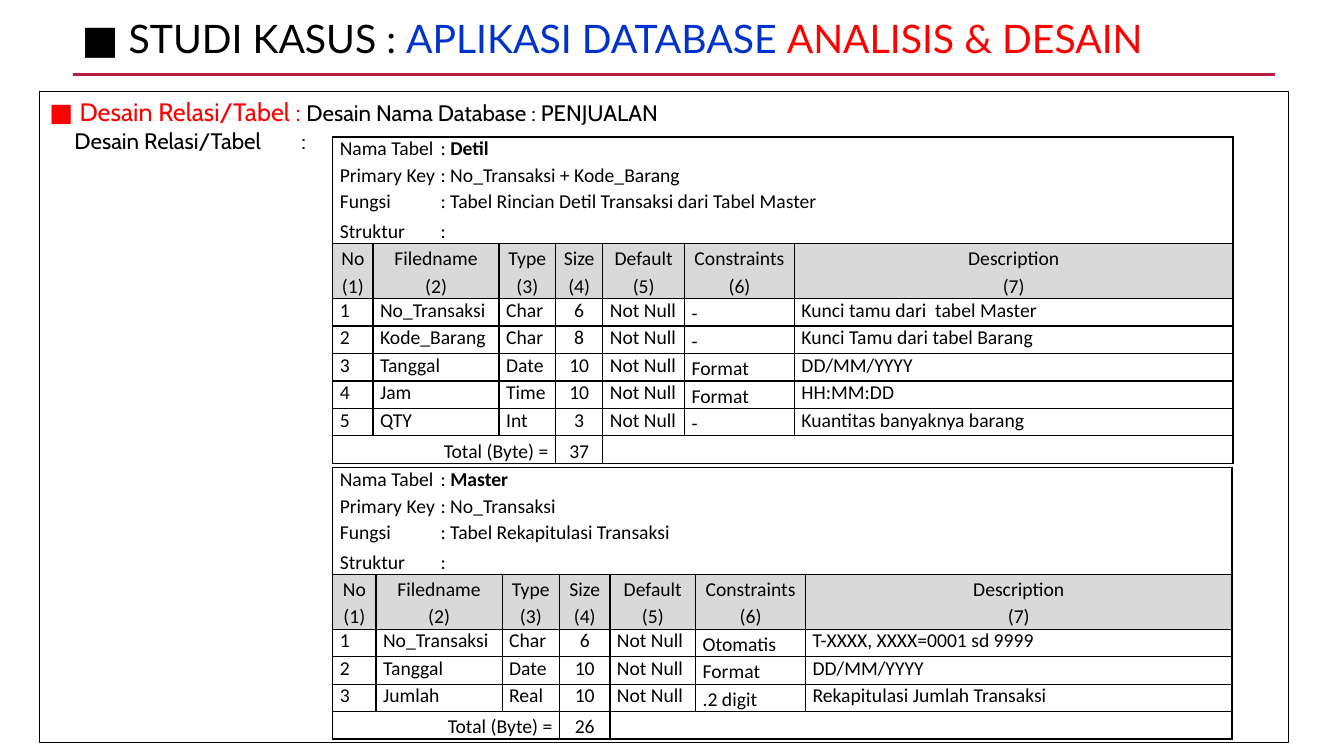
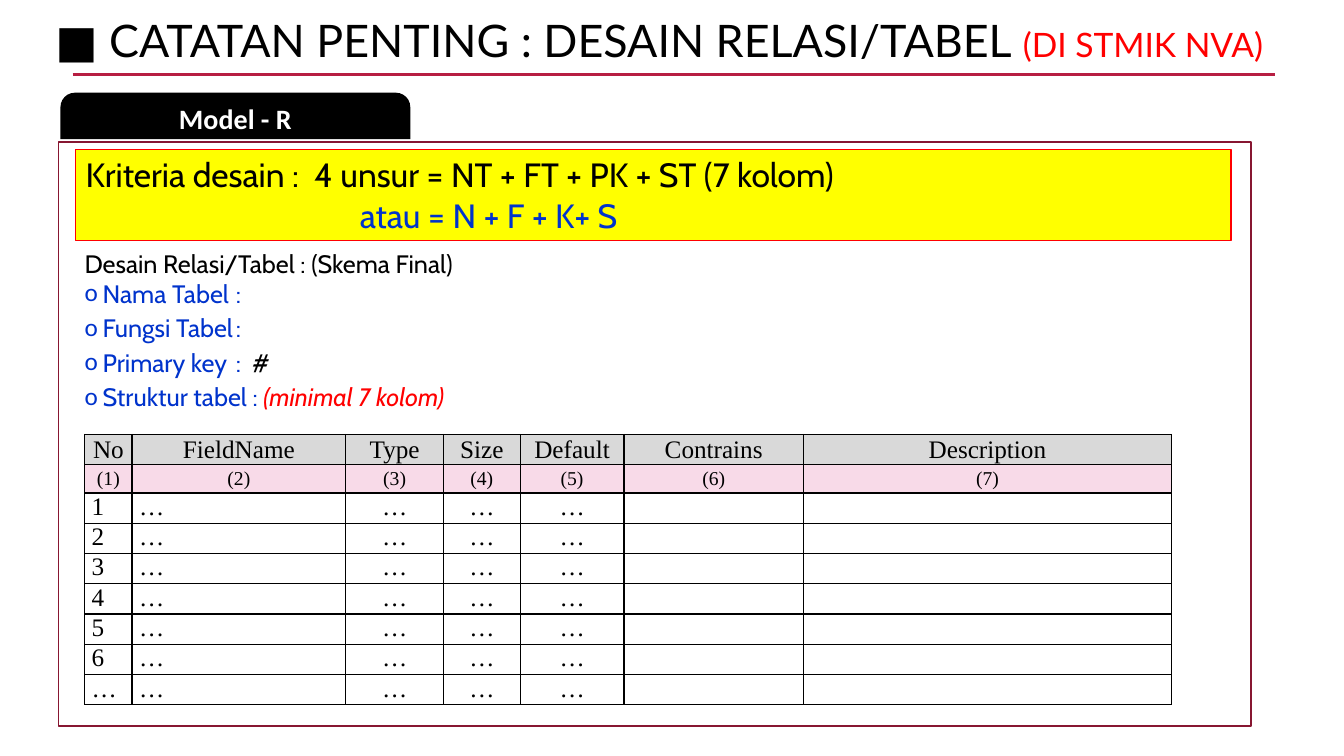
import dataclasses
import typing

import lxml.etree
import pptx
import pptx.dml.color
import pptx.enum.shapes
import pptx.enum.text
import pptx.oxml.ns
import pptx.util

PX = 9144
SHAPE = pptx.enum.shapes.MSO_SHAPE
ANCHOR = pptx.enum.text.MSO_ANCHOR
LEFT = pptx.enum.text.PP_ALIGN.LEFT
CENTER = pptx.enum.text.PP_ALIGN.CENTER
RIGHT = pptx.enum.text.PP_ALIGN.RIGHT


@dataclasses.dataclass(frozen=True)
class Font:
    name: str
    size: int
    color: str = "000000"
    bold: bool = False
    italic: bool = False

    def but(self, **changes):
        return dataclasses.replace(self, **changes)


@dataclasses.dataclass(frozen=True)
class Theme:
    black: str = "000000"
    white: str = "FFFFFF"
    red: str = "FF0000"
    blue: str = "0033CC"
    yellow: str = "FFFF00"
    rule: str = "B71E42"
    frame: str = "871631"
    header: str = "D9D9D9"
    numbers: str = "F8DAE8"
    title: Font = Font("Lato", 28)
    big_title: Font = Font("Lato", 32)
    title_note: Font = Font("Lato", 24, "FF0000")
    lead: Font = Font("Cabin", 24)
    body: Font = Font("Cabin", 18)
    small: Font = Font("Cabin", 16)
    tab: Font = Font("Calibri", 20, "FFFFFF", True)
    field: Font = Font("Calibri", 14)
    grid: Font = Font("Times New Roman", 18)
    grid_small: Font = Font("Times New Roman", 14)


@dataclasses.dataclass
class Para:
    runs: list
    align: typing.Any = LEFT
    line: float = 1.0
    space: tuple = (0, 0)
    tabs: tuple = ()
    bullet: str = ""
    indent: int = 0


def rgb(value):
    return pptx.dml.color.RGBColor.from_string(value)


def px(value):
    return pptx.util.Emu(value * PX)


def add_xml(parent, tag, **attributes):
    return lxml.etree.SubElement(parent, pptx.oxml.ns.qn(tag), attributes)


class Deck:
    def __init__(self, theme):
        self.theme = theme
        self.prs = pptx.Presentation()
        self.prs.slide_width = px(1333)
        self.prs.slide_height = px(750)
        self.slide = None

    def new_slide(self, title_box, runs):
        self.slide = self.prs.slides.add_slide(self.prs.slide_layouts[5])
        sp = self.slide.shapes.title
        sp.left, sp.top, sp.width, sp.height = map(px, title_box)
        sp.text_frame.auto_size = pptx.enum.text.MSO_AUTO_SIZE.NONE
        self.fill_frame(sp.text_frame, [Para(runs, line=0.9)])
        self.line(72, 74, 1265, 74, self.theme.rule, 2.5)

    def line(self, x1, y1, x2, y2, color, width):
        sp = self.slide.shapes.add_connector(
            pptx.enum.shapes.MSO_CONNECTOR.STRAIGHT, px(x1), px(y1), px(x2), px(y2))
        sp.line.color.rgb = rgb(color)
        sp.line.width = pptx.util.Pt(width)
        add_xml(sp._element.spPr, "a:effectLst")

    def shape(self, box, paras=(), kind=SHAPE.RECTANGLE, fill=None, line=None,
              width=0.75, anchor=ANCHOR.TOP):
        sp = self.slide.shapes.add_shape(kind, *map(px, box))
        sp.shadow.inherit = False
        if fill:
            sp.fill.solid()
            sp.fill.fore_color.rgb = rgb(fill)
        else:
            sp.fill.background()
        if line:
            sp.line.color.rgb = rgb(line)
            sp.line.width = pptx.util.Pt(width)
        else:
            sp.line.fill.background()
        self.fill_frame(sp.text_frame, paras, anchor)
        return sp

    def text(self, box, paras):
        sp = self.slide.shapes.add_textbox(*map(px, box))
        self.fill_frame(sp.text_frame, paras)

    def fill_frame(self, tf, paras, anchor=ANCHOR.TOP):
        tf.word_wrap = True
        tf.vertical_anchor = anchor
        self.paragraphs(tf, paras)

    def paragraphs(self, tf, paras):
        for i, para in enumerate(paras):
            p = tf.add_paragraph() if i else tf.paragraphs[0]
            p.alignment = para.align
            p.line_spacing = para.line
            p.space_before, p.space_after = map(pptx.util.Pt, para.space)
            props = p._p.get_or_add_pPr()
            if para.bullet:
                props.set("marL", str(px(para.indent)))
                props.set("indent", str(px(-para.indent)))
                add_xml(props, "a:buFont", typeface="Calibri")
                add_xml(props, "a:buChar", char=para.bullet)
            if para.tabs:
                stops = add_xml(props, "a:tabLst")
                for stop in para.tabs:
                    add_xml(stops, "a:tab", pos=str(px(stop)), algn="l")
            for text, font in para.runs:
                if text:
                    r = p.add_run()
                    r.text = text
                    r.font.name = font.name
                    r.font.size = pptx.util.Pt(font.size)
                    r.font.color.rgb = rgb(font.color)
                    r.font.bold = font.bold
                    r.font.italic = font.italic
                else:
                    add_xml(p._p, "a:endParaRPr", sz=str(font.size * 100))

    def table(self, left, top, widths, heights):
        table = self.slide.shapes.add_table(
            len(heights), len(widths), px(left), px(top), px(sum(widths)), px(sum(heights))).table
        table.first_row = table.horz_banding = False
        for column, width in zip(table.columns, widths):
            column.width = px(width)
        for row, height in zip(table.rows, heights):
            row.height = px(height)
        return table

    def cell(self, cell, paras, fill=None, anchor=ANCHOR.TOP):
        cell.margin_left = cell.margin_right = px(7)
        cell.margin_top = cell.margin_bottom = 0
        cell.vertical_anchor = anchor
        props = cell._tc.get_or_add_tcPr()
        for side in ("a:lnL", "a:lnR", "a:lnT", "a:lnB"):
            border = add_xml(props, side, w="12700")
            add_xml(add_xml(border, "a:solidFill"), "a:srgbClr", val=self.theme.black)
        if fill:
            cell.fill.solid()
            cell.fill.fore_color.rgb = rgb(fill)
        else:
            cell.fill.background()
        self.paragraphs(cell.text_frame, paras)

    def field_table(self, top, widths, name, key, purpose, fields, total):
        font = self.theme.field
        last = len(fields) + 2
        table = self.table(330, top, widths, [105, 54] + [27] * (len(fields) + 1))
        intro = [
            Para([("Nama Tabel\t: ", font), (name, font.but(bold=True))], space=(1, 1)),
            Para([("Primary Key\t: " + key, font)], space=(1, 1)),
            Para([("Fungsi\t: " + purpose, font)], space=(1, 1)),
            Para([("Struktur\t:", font)], space=(3, 3)),
        ]
        blank = [Para([("", font)])]
        table.cell(0, 0).merge(table.cell(0, 6))
        table.cell(last, 0).merge(table.cell(last, 2))
        table.cell(last, 4).merge(table.cell(last, 6))
        heads = ("No", "Filedname", "Type", "Size", "Default", "Constraints", "Description")
        for c, head in enumerate(heads):
            self.cell(table.cell(0, c), blank if c else intro)
            self.cell(table.cell(1, c), [
                Para([(text, font)], CENTER, 1.15) for text in (head, f"({c + 1})")],
                self.theme.header)
            ends = {0: ("Total (Byte) =", RIGHT), 3: (str(total), CENTER)}
            text, align = ends.get(c, ("", LEFT))
            self.cell(table.cell(last, c), [Para([(text, font)], align, 1.15 if text else 1.0)])
        for r, (field, kind, size, constraint, description) in enumerate(fields, 1):
            values = (str(r), field, kind, str(size), "Not Null", constraint, description)
            for c, value in enumerate(values):
                self.cell(table.cell(r + 1, c), [
                    Para([(value, font)], CENTER if c == 3 else LEFT, 1.15 if c == 5 else 1.0)])

    def blank_table(self):
        theme = self.theme
        table = self.table(84, 431, [47, 212, 97, 76, 103, 178, 365], [30, 28] + [30] * 7)
        heads = ("No", "FieldName", "Type", "Size", "Default", "Contrains", "Description")
        for c, head in enumerate(heads):
            self.cell(table.cell(0, c), [Para([(head, theme.grid)], CENTER)],
                      theme.header, ANCHOR.MIDDLE)
            self.cell(table.cell(1, c), [Para([(f"({c + 1})", theme.grid_small)], CENTER)],
                      theme.numbers, ANCHOR.MIDDLE)
            for r, number in enumerate("123456…", 2):
                text = number if c == 0 else "…" if c < 5 else ""
                self.cell(table.cell(r, c), [
                    Para([(text, theme.grid)], LEFT if c < 2 else CENTER)])


def case_study(deck):
    t = deck.theme
    deck.new_slide((71, 14, 1191, 54), [
        ("■ STUDI KASUS : ", t.title),
        ("APLIKASI DATABASE ", t.title.but(color=t.blue)),
        ("ANALISIS & DESAIN", t.title.but(color=t.red))])
    deck.shape((39, 91, 1239, 646), [
        Para([("■ ", t.body.but(name="Lato", color=t.red)),
              ("Desain Relasi/Tabel : ", t.body.but(color=t.red)),
              ("Desain Nama Database : PENJUALAN", t.small)]),
        Para([("\tDesain Relasi/Tabel\t:", t.small)], tabs=(25, 250))], line=t.black)
    deck.field_table(
        464, [43, 125, 57, 50, 85, 109, 423], "Master", "No_Transaksi",
        "Tabel Rekapitulasi Transaksi", [
            ("No_Transaksi", "Char", 6, "Otomatis", "T-XXXX, XXXX=0001 sd 9999"),
            ("Tanggal", "Date", 10, "Format", "DD/MM/YYYY"),
            ("Jumlah", "Real", 10, ".2 digit", "Rekapitulasi Jumlah Transaksi")], 26)
    deck.field_table(
        136, [40, 125, 56, 47, 81, 109, 435], "Detil", "No_Transaksi + Kode_Barang",
        "Tabel Rincian Detil Transaksi dari Tabel Master", [
            ("No_Transaksi", "Char", 6, "-", "Kunci tamu dari  tabel Master"),
            ("Kode_Barang", "Char", 8, "-", "Kunci Tamu dari tabel Barang"),
            ("Tanggal", "Date", 10, "Format", "DD/MM/YYYY"),
            ("Jam", "Time", 10, "Format", "HH:MM:DD"),
            ("QTY", "Int", 3, "-", "Kuantitas banyaknya barang")], 37)


def design_notes(deck):
    t = deck.theme
    blue = t.body.but(color=t.blue)
    deck.new_slide((45, 14, 1259, 54), [
        ("■ CATATAN PENTING : DESAIN RELASI/TABEL ", t.big_title),
        ("(DI STMIK NVA)", t.title_note)])
    deck.shape((58, 141, 1183, 579), fill=t.white, line=t.frame, width=1.25)
    sp = deck.shape((60, 92, 347, 46), [Para([("Model - R", t.tab)], CENTER)],
                    SHAPE.ROUND_2_SAME_RECTANGLE, t.black, anchor=ANCHOR.MIDDLE)
    sp.adjustments[0] = 0.31
    items = [
        [("Nama Tabel\t:", blue)],
        [("Fungsi Tabel\t:", blue)],
        [("Primary key\t:  ", blue), ("#", t.body)],
        [("Struktur tabel : ", blue),
         ("(minimal 7 kolom)", t.body.but(color=t.red, italic=True))],
    ]
    deck.text((74, 241, 603, 209), [Para([("Desain Relasi/Tabel : (Skema Final)", t.body)])] + [
        Para(runs, space=(0, 3), tabs=(113,), bullet="o", indent=18) for runs in items])
    deck.blank_table()
    deck.shape((75, 148, 1146, 91), [
        Para([("Kriteria desain :  4 unsur = NT + FT + PK + ST (7 kolom)", t.lead)]),
        Para([("\tatau = N + F + K+ S", t.lead.but(color=t.blue))], tabs=(272,))],
        fill=t.yellow, line=t.red)


def main():
    deck = Deck(Theme())
    case_study(deck)
    design_notes(deck)
    deck.prs.save("out.pptx")


if __name__ == "__main__":
    main()
